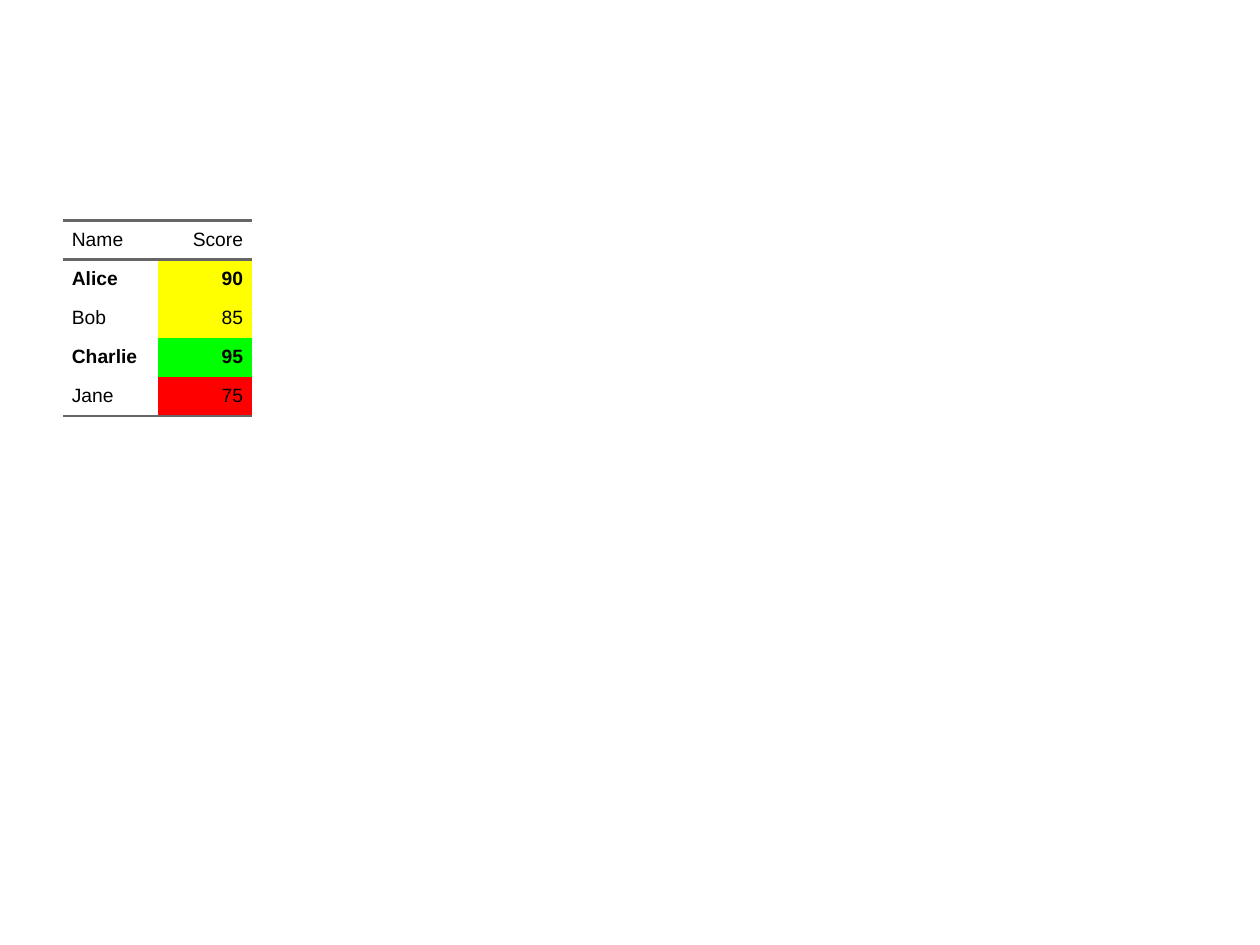
"""Build a slide with a small table of names and scores, coloured by score."""
from lxml import etree
from pptx import Presentation
from pptx.dml.color import RGBColor
from pptx.enum.text import MSO_ANCHOR, PP_ALIGN
from pptx.oxml.ns import qn
from pptx.util import Inches, Pt

MIDDLE = MSO_ANCHOR.MIDDLE
LEFT, RIGHT = PP_ALIGN.LEFT, PP_ALIGN.RIGHT
BLACK = RGBColor(0x00, 0x00, 0x00)
WHITE = RGBColor(0xFF, 0xFF, 0xFF)
GRAY = RGBColor(0x66, 0x66, 0x66)
YELLOW = RGBColor(0xFF, 0xFF, 0x00)
GREEN = RGBColor(0x00, 0xFF, 0x00)
RED = RGBColor(0xFF, 0x00, 0x00)
PLAIN_STYLE = "{2D5ABB26-0587-4C30-8999-92F81FD0307C}"
PADDING = Inches(0.07)
BLANK_LAYOUT = 6

ROWS = [
    ("Name", "Score", WHITE, False),
    ("Alice", "90", YELLOW, True),
    ("Bob", "85", YELLOW, False),
    ("Charlie", "95", GREEN, True),
    ("Jane", "75", RED, False),
]


def add_borders(cell, sides):
    properties = cell._tc.get_or_add_tcPr()
    for index, side in enumerate(sides):
        line = etree.Element(qn(f"a:ln{side}"), w=str(Pt(1.5)))
        fill = etree.SubElement(line, qn("a:solidFill"))
        etree.SubElement(fill, qn("a:srgbClr"), val=str(GRAY))
        properties.insert(index, line)


def fill_cell(cell, text, color, alignment, bold):
    cell.fill.solid()
    cell.fill.fore_color.rgb = color
    cell.vertical_anchor = MIDDLE
    cell.margin_left = cell.margin_right = 0
    cell.margin_top = cell.margin_bottom = PADDING
    paragraph = cell.text_frame.paragraphs[0]
    paragraph.alignment = alignment
    paragraph.space_before = paragraph.space_after = Pt(5)
    properties = paragraph._p.get_or_add_pPr()
    for name, value in (("marL", PADDING), ("marR", PADDING), ("indent", 0)):
        properties.set(name, str(value))
    run = paragraph.add_run()
    run.text = text
    run.font.name = "Arial"
    run.font.size = Pt(11)
    run.font.bold = bold
    run.font.color.rgb = BLACK


def add_score_table(slide):
    column_width, row_height = Inches(0.75), Inches(0.25)
    table = slide.shapes.add_table(
        len(ROWS), 2, Inches(0.5), Inches(1.75),
        2 * column_width, len(ROWS) * row_height,
    ).table
    table.first_row = table.horz_banding = False
    table._tbl.tblPr.find(qn("a:tableStyleId")).text = PLAIN_STYLE
    borders = {0: "TB", len(ROWS) - 1: "B"}
    for index, (name, score, color, bold) in enumerate(ROWS):
        name_cell, score_cell = table.cell(index, 0), table.cell(index, 1)
        fill_cell(name_cell, name, WHITE, LEFT, bold)
        fill_cell(score_cell, score, color, RIGHT, bold)
        for cell in (name_cell, score_cell):
            add_borders(cell, borders.get(index, ""))


def main():
    presentation = Presentation()
    presentation.slide_width = Inches(10)
    presentation.slide_height = Inches(7.5)
    slide = presentation.slides.add_slide(presentation.slide_layouts[BLANK_LAYOUT])
    add_score_table(slide)
    presentation.save("out.pptx")


if __name__ == "__main__":
    main()
